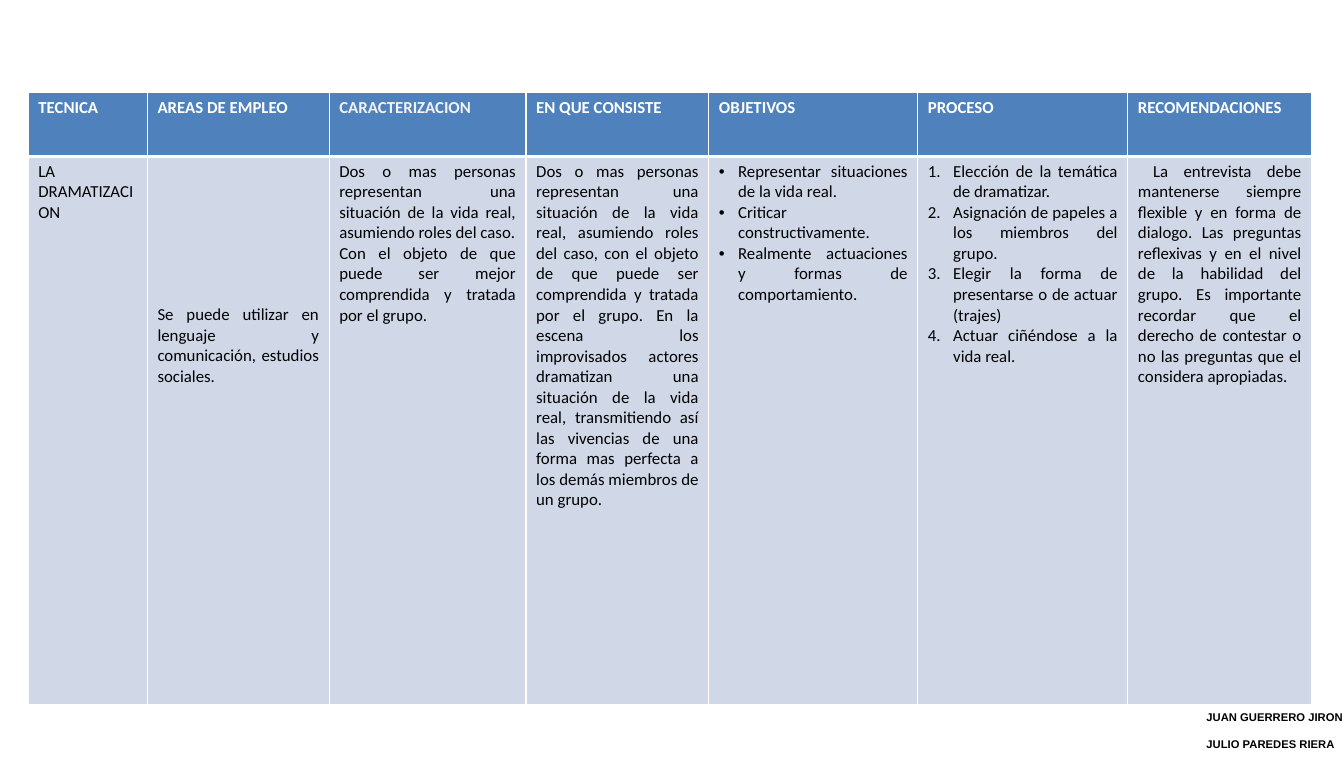
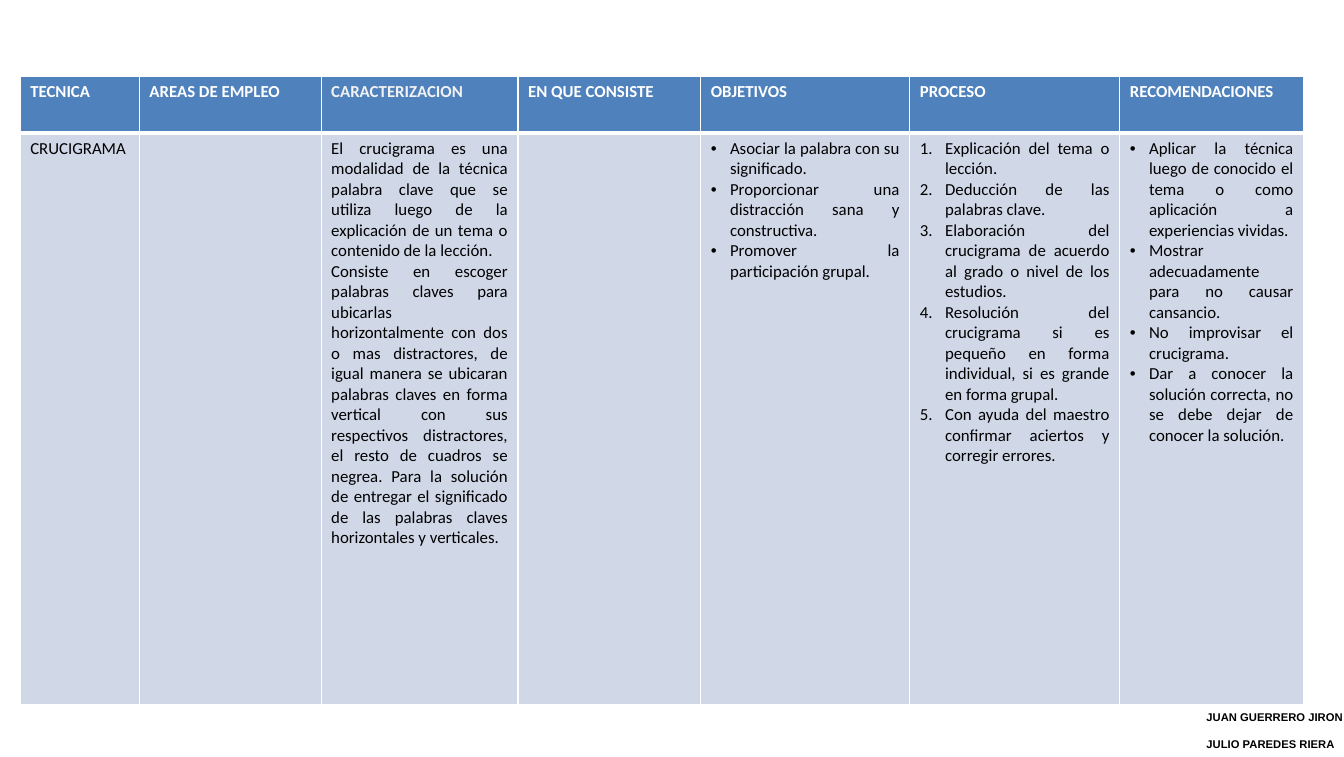
from dataclasses import dataclass

from lxml.etree import SubElement as Sub
from pptx import Presentation
from pptx.dml.color import RGBColor
from pptx.enum.text import MSO_ANCHOR as Anchor, PP_ALIGN as Align
from pptx.oxml.ns import qn
from pptx.util import Inches, Pt

WHITE = RGBColor(0xFF, 0xFF, 0xFF)
PALE = RGBColor(0xF2, 0xF2, 0xF2)
BLACK = RGBColor(0, 0, 0)
BLUE = RGBColor(0x4F, 0x81, 0xBD)
MIST = RGBColor(0xD0, 0xD8, 0xE8)

HEAD = {"name": "Calibri", "size": Pt(12), "bold": True}
BODY = {"name": "Calibri", "size": Pt(12), "bold": False}
FOOT = {"name": "Arial", "size": Pt(8), "bold": True}

TITLES = ("TECNICA", "AREAS DE EMPLEO", "CARACTERIZACION", "EN QUE CONSISTE",
          "OBJETIVOS", "PROCESO", "RECOMENDACIONES")
WIDTHS = (1.18, 1.8, 1.95, 1.81, 2.07, 2.08, 1.82)
NAMES = ("JUAN GUERRERO JIRON", "JULIO PAREDES RIERA")


@dataclass(frozen=True)
class Entry:
    """One body cell: its paragraphs and how they are set."""
    lines: tuple = ()
    mark: str = ""        # "dot", "num" or plain
    align: Align = Align.JUSTIFY
    top: float = 0.05     # inner margin above the text
    first: float = 0.0    # first-line indent


@dataclass(frozen=True)
class Sheet:
    """One slide: place of the table, row heights and body cells."""
    left: float
    top: float
    rows: tuple
    cells: tuple


SHEETS = (
    Sheet(0.28, 0.92, (0.63, 5.43), (
        Entry(("LA DRAMATIZACION",), align=Align.LEFT),
        Entry(("Se puede utilizar en lenguaje y comunicación, estudios "
               "sociales.",), top=1.47),
        Entry(("Dos o mas personas representan una situación de la vida real, "
               "asumiendo roles del caso.",
               "Con el objeto de que puede ser mejor comprendida y tratada "
               "por el grupo.")),
        Entry(("Dos o mas personas representan una situación de la vida real, "
               "asumiendo roles del caso, con el objeto de que puede ser "
               "comprendida y tratada por el grupo. En la escena los "
               "improvisados actores dramatizan una situación de la vida "
               "real, transmitiendo así las vivencias de una forma mas "
               "perfecta a los demás miembros de un grupo.",)),
        Entry(("Representar situaciones de la vida real.",
               "Criticar constructivamente.",
               "Realmente actuaciones y formas de comportamiento."), "dot"),
        Entry(("Elección de la temática de dramatizar.",
               "Asignación de papeles a los miembros del grupo.",
               "Elegir la forma de presentarse o de actuar (trajes)",
               "Actuar ciñéndose a la vida real."), "num"),
        Entry(("La entrevista debe mantenerse siempre flexible y en forma de "
               "dialogo. Las preguntas reflexivas y en el nivel de la "
               "habilidad del grupo. Es importante recordar que el derecho "
               "de contestar o no las preguntas que el considera "
               "apropiadas.",), first=0.15),
    )),
    Sheet(0.2, 0.76, (0.56, 5.66), (
        Entry(("CRUCIGRAMA",), align=Align.LEFT),
        Entry(),
        Entry(("El crucigrama es una modalidad de la técnica palabra clave "
               "que se utiliza luego de la explicación de un tema o contenido "
               "de la lección.",
               "Consiste en escoger palabras claves para ubicarlas "
               "horizontalmente con dos o mas distractores, de igual manera "
               "se ubicaran palabras claves en forma vertical con sus "
               "respectivos distractores, el resto de cuadros se negrea. Para "
               "la solución de entregar el significado de las palabras claves "
               "horizontales y verticales.")),
        Entry(),
        Entry(("Asociar la palabra con su significado.",
               "Proporcionar una distracción sana y constructiva.",
               "Promover la participación grupal."), "dot"),
        Entry(("Explicación del tema o lección.",
               "Deducción de las palabras clave.",
               "Elaboración del crucigrama de acuerdo al grado o nivel de los "
               "estudios.",
               "Resolución del crucigrama si es pequeño en forma individual, "
               "si es grande en forma grupal.",
               "Con ayuda del maestro confirmar aciertos y corregir "
               "errores."), "num"),
        Entry(("Aplicar la técnica luego de conocido el tema o como "
               "aplicación a experiencias vividas.",
               "Mostrar adecuadamente para no causar cansancio.",
               "No improvisar el crucigrama.",
               "Dar a conocer la solución correcta, no se debe dejar de "
               "conocer la solución."), "dot"),
    )),
)


def indent(para, mark: str, first: float) -> None:
    """Set the hanging or first-line indent and the list mark."""
    hang = {"dot": 0.19, "num": 0.25}.get(mark, 0)
    props = para._p.get_or_add_pPr()
    props.set("marL", str(Inches(hang)))
    props.set("indent", str(Inches(first - hang)))
    if mark == "dot":
        Sub(props, qn("a:buFont"), typeface="Arial")
        Sub(props, qn("a:buChar"), char="•")
    elif mark == "num":
        Sub(props, qn("a:buFont"), typeface="+mj-lt")
        Sub(props, qn("a:buAutoNum"), type="arabicPeriod")


def write(frame, entry: Entry, form: dict, ink: RGBColor,
          gap: float = 0) -> None:
    """Fill a text frame with the paragraphs of an entry."""
    for i, line in enumerate(entry.lines):
        para = frame.add_paragraph() if i else frame.paragraphs[0]
        indent(para, entry.mark, entry.first)
        para.alignment = entry.align
        if i and gap:
            para.space_before = Pt(gap)
        run = para.add_run()
        run.text = line
        for key, val in form.items():
            setattr(run.font, key, val)
        run.font.color.rgb = ink


def paint(cell, fill: RGBColor, top: float, base: float) -> None:
    """Give a cell white borders, then its fill."""
    props = cell._tc.get_or_add_tcPr()
    for side, width in (("L", 1), ("R", 1), ("T", top), ("B", base)):
        line = Sub(props, qn(f"a:ln{side}"), w=str(Pt(width)))
        Sub(Sub(line, qn("a:solidFill")), qn("a:srgbClr"), val=str(WHITE))
    cell.fill.solid()
    cell.fill.fore_color.rgb = fill


def grid(slide, sheet: Sheet) -> None:
    """Draw the table of one technique."""
    table = slide.shapes.add_table(
        2, len(WIDTHS), Inches(sheet.left), Inches(sheet.top),
        Inches(sum(WIDTHS)), Inches(sum(sheet.rows))).table
    table.horz_banding = False
    for row, high in zip(table.rows, sheet.rows):
        row.height = Inches(high)
    for i, (wide, title, entry) in enumerate(zip(WIDTHS, TITLES, sheet.cells)):
        table.columns[i].width = Inches(wide)
        head, body = table.cell(0, i), table.cell(1, i)
        paint(head, BLUE, 1, 3)
        paint(body, MIST, 3, 1)
        ink = PALE if title == "CARACTERIZACION" else WHITE
        write(head.text_frame, Entry((title,)), HEAD, ink)
        body.margin_top = Inches(entry.top)
        write(body.text_frame, entry, BODY, BLACK)


def footer(slide) -> None:
    """Put the authors in the lower right corner."""
    frame = slide.shapes.add_textbox(
        Inches(11.85), Inches(7.14), Inches(2.13), Inches(0.35)).text_frame
    frame.word_wrap = True
    frame.vertical_anchor = Anchor.BOTTOM
    write(frame, Entry(NAMES, align=Align.LEFT), FOOT, BLACK, gap=10)


def main() -> None:
    deck = Presentation()
    deck.slide_width, deck.slide_height = Inches(13.31), Inches(7.5)
    for sheet in SHEETS:
        slide = deck.slides.add_slide(deck.slide_layouts[6])
        grid(slide, sheet)
        footer(slide)
    deck.save("out.pptx")


if __name__ == "__main__":
    main()
